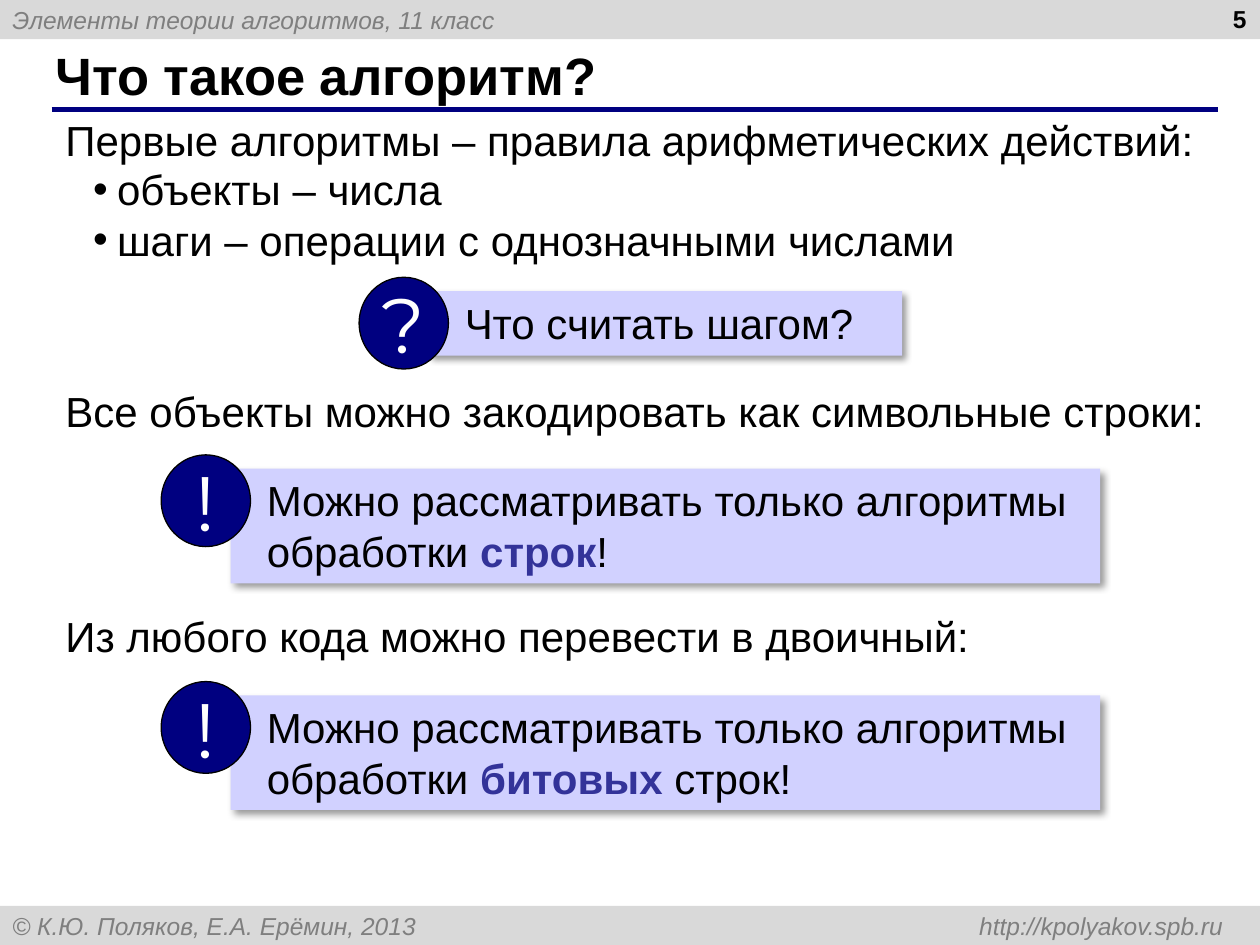
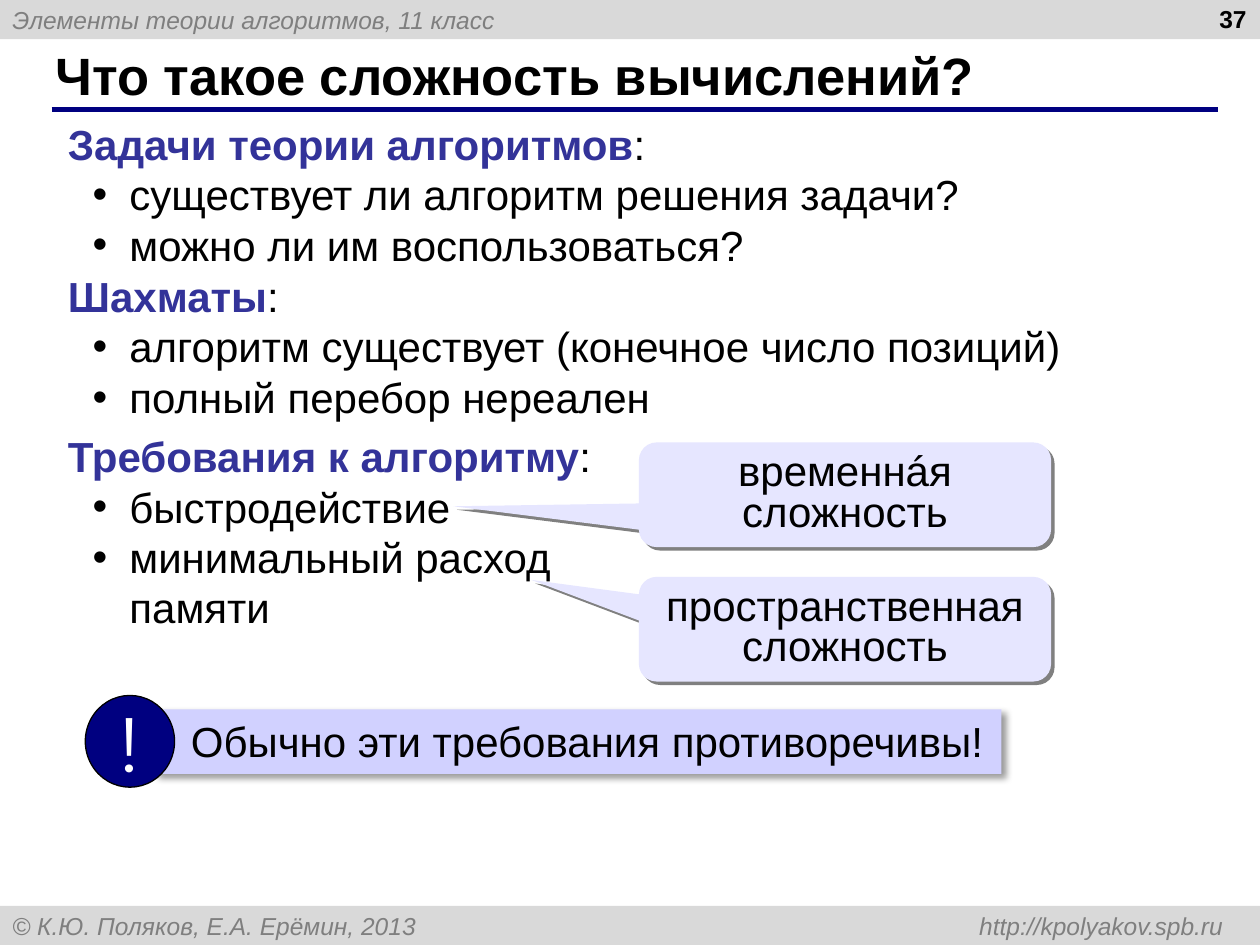
from lxml import etree
from pptx import Presentation
from pptx.dml.color import RGBColor
from pptx.enum.shapes import MSO_CONNECTOR, MSO_SHAPE
from pptx.enum.text import MSO_ANCHOR, MSO_AUTO_SIZE, PP_ALIGN
from pptx.oxml.ns import qn
from pptx.util import Cm, Pt

RECTANGLE = MSO_SHAPE.RECTANGLE
OVAL = MSO_SHAPE.OVAL
CALLOUT = MSO_SHAPE.ROUNDED_RECTANGULAR_CALLOUT
STRAIGHT = MSO_CONNECTOR.STRAIGHT
LEFT, CENTER, RIGHT = PP_ALIGN.LEFT, PP_ALIGN.CENTER, PP_ALIGN.RIGHT
MIDDLE = MSO_ANCHOR.MIDDLE
NO_AUTOFIT = MSO_AUTO_SIZE.NONE

BLACK, WHITE, NAVY, ACCENT = "000000", "FFFFFF", "000080", "333399"
BAND, BAND_TEXT = "D9D9D9", "7F7F7F"
BANNER, BUBBLE, BUBBLE_SHADOW = "D1D1FF", "E6E6FF", "808080"
TEXT_FONT, SIGN_FONT = "Arial", "Montserrat"
BODY_SIZE = 24
PAGE_WIDTH, PAGE_HEIGHT, BAND_HEIGHT = 25.4, 19.05, 0.79
TITLE_ONLY = 5


def color(code):
    return RGBColor.from_string(code)


# Text
def add_span(para, text, size=BODY_SIZE, tint=BLACK, bold=False, italic=False,
             font=TEXT_FONT):
    span = para.add_run()
    span.text = text
    span.font.name = font
    span.font.size = Pt(size)
    span.font.bold = bold
    span.font.italic = italic
    span.font.color.rgb = color(tint)


def add_spans(para, spans):
    """Plain strings are body text; one-item tuples are emphasised."""
    for item in spans:
        if isinstance(item, tuple):
            add_span(para, item[0], tint=ACCENT, bold=True)
        else:
            add_span(para, item)


def set_indent(para, margin, hanging=0):
    properties = para._p.get_or_add_pPr()
    properties.set("marL", str(Cm(margin)))
    properties.set("indent", str(-Cm(hanging)))
    return properties


def add_bullet(para, margin, hanging):
    properties = set_indent(para, margin, hanging)
    etree.SubElement(properties, qn("a:buFont"), typeface=TEXT_FONT)
    etree.SubElement(properties, qn("a:buChar"), char="•")


def add_right_tab(para, position):
    tabs = etree.SubElement(para._p.get_or_add_pPr(), qn("a:tabLst"))
    etree.SubElement(tabs, qn("a:tab"), pos=str(Cm(position)), algn="r")


def add_text_box(page, left, top, width, height):
    box = page.shapes.add_textbox(Cm(left), Cm(top), Cm(width), Cm(height))
    box.text_frame.word_wrap = True
    return box.text_frame


def add_statement(page, top, text):
    frame = add_text_box(page, 1.07, top, 23.52, 1.3)
    add_span(frame.paragraphs[0], text)


def add_list(page, place, items, margin, hanging, heading=None):
    """A bulleted list; a line feed in an item breaks its line."""
    frame = add_text_box(page, *place)
    para = frame.paragraphs[0]
    if heading:
        add_spans(para, [(heading,), ":"])
    for number, item in enumerate(items):
        if heading or number:
            para = frame.add_paragraph()
        add_bullet(para, margin, hanging)
        for line_number, line in enumerate(item.split("\n")):
            if line_number:
                para.add_line_break()
            add_span(para, line)


# Shapes
def add_filled(shapes, kind, left, top, width, height, fill, outline=None):
    shape = shapes.add_shape(kind, Cm(left), Cm(top), Cm(width), Cm(height))
    shape.fill.solid()
    shape.fill.fore_color.rgb = color(fill)
    if outline:
        shape.line.color.rgb = color(outline)
        shape.line.width = Pt(0.75)
    else:
        shape.line.fill.background()
    shape.shadow.inherit = False
    shape.text_frame.paragraphs[0].alignment = LEFT
    return shape


def add_shadow(shape, tint, percent, blur, distance):
    effects = shape._element.spPr.find(qn("a:effectLst"))
    shadow = etree.SubElement(
        effects, qn("a:outerShdw"), blurRad=str(Pt(blur)),
        dist=str(Pt(distance)), dir=str(45 * 60000), algn="tl",
        rotWithShape="0")
    tone = etree.SubElement(shadow, qn("a:srgbClr"), val=tint)
    etree.SubElement(tone, qn("a:alpha"), val=str(percent * 1000))


def add_banner(page, left, top, width, height, sign, spans):
    """A shaded message with a round sign over its top left corner."""
    shapes = page.shapes.add_group_shape().shapes
    banner = add_filled(shapes, RECTANGLE, left, top, width, height, BANNER)
    add_shadow(banner, BLACK, 40, 4, 3)
    frame = banner.text_frame
    frame.word_wrap = True
    frame.vertical_anchor = MSO_ANCHOR.TOP
    set_indent(frame.paragraphs[0], 0.48)
    add_spans(frame.paragraphs[0], spans)

    badge = add_filled(shapes, OVAL, left - 1.4, top - 0.28, 1.8, 1.85,
                       NAVY, BLACK)
    frame = badge.text_frame
    frame.word_wrap = False
    frame.vertical_anchor = MIDDLE
    frame.paragraphs[0].alignment = CENTER
    add_span(frame.paragraphs[0], sign, 44, WHITE, font=SIGN_FONT)


def add_bubble(page, top, text, tip):
    bubble = add_filled(page.shapes, CALLOUT, 12.88, top, 8.31, 2.11, BUBBLE)
    add_shadow(bubble, BUBBLE_SHADOW, 100, 0, 2.8)
    for index, value in enumerate((*tip, 0.17)):
        bubble.adjustments[index] = value
    frame = bubble.text_frame
    frame.word_wrap = True
    frame.vertical_anchor = MIDDLE
    para = frame.paragraphs[0]
    para.alignment = CENTER
    para.line_spacing = 0.8
    para.space_after = Pt(10)
    add_span(para, text)


# Shared frame of every page
def add_band(page, top, text):
    band = add_filled(page.shapes, RECTANGLE, 0, top, PAGE_WIDTH, BAND_HEIGHT,
                      BAND)
    band.text_frame.vertical_anchor = MIDDLE
    para = band.text_frame.paragraphs[0]
    add_right_tab(para, 24.41)
    add_span(para, text, 14, BAND_TEXT, italic=True)


def add_page(deck, title_text, number):
    page = deck.slides.add_slide(deck.slide_layouts[TITLE_ONLY])
    add_band(page, 0, "Элементы теории алгоритмов, 11 класс")
    add_band(page, PAGE_HEIGHT - BAND_HEIGHT,
             "© К.Ю. Поляков, Е.А. Ерёмин, 2013 \thttp://kpolyakov.spb.ru")

    rule = page.shapes.add_connector(STRAIGHT, Cm(1.04), Cm(2.21),
                                     Cm(24.56), Cm(2.21))
    rule.line.color.rgb = color(NAVY)
    rule.line.width = Pt(3)
    etree.SubElement(rule._element.spPr, qn("a:effectLst"))

    title = page.shapes.title
    title.left, title.top = Cm(0.86), Cm(0.84)
    title.width, title.height = Cm(23.27), Cm(1.32)
    frame = title.text_frame
    frame.auto_size = NO_AUTOFIT
    frame.vertical_anchor = MIDDLE
    frame.paragraphs[0].alignment = LEFT
    add_span(frame.paragraphs[0], title_text, 30, bold=True)

    para = add_text_box(page, 19.46, -0.05, 5.92, 1.32).paragraphs[0]
    para.alignment = RIGHT
    add_span(para, str(number), 14, bold=True)
    return page


def build_algorithm_page(deck):
    page = add_page(deck, "Что такое алгоритм?", 5)
    add_statement(page, 2.18,
                  "Первые алгоритмы – правила арифметических действий:")
    add_list(page, (1.63, 3.18, 19.46, 2.31),
             ["объекты – числа", "шаги – операции с однозначными числами"],
             0.48, 0.48)
    add_banner(page, 8.64, 5.87, 9.55, 1.3, "?", ["Что считать шагом?"])
    add_statement(page, 7.65,
                  "Все объекты можно закодировать как символьные строки:")
    add_statement(page, 12.19, "Из любого кода можно перевести в двоичный:")
    opening = "Можно рассматривать только алгоритмы обработки "
    for top, ending in ((9.45, [("строк",), "!"]),
                        (14.02, [("битовых",), " строк!"])):
        add_banner(page, 4.65, top, 17.53, 2.31, "!", [opening, *ending])


def build_complexity_page(deck):
    page = add_page(deck, "Что такое сложность вычислений?", 37)
    sections = (
        (2.26, 23.34, 3.33, "Задачи теории алгоритмов",
         ["существует ли алгоритм решения задачи?",
          "можно ли им воспользоваться?"]),
        (5.33, 23.34, 3.33, "Шахматы",
         ["алгоритм существует (конечное число позиций)",
          "полный перебор нереален"]),
        (8.56, 11.46, 4.37, "Требования к алгоритму",
         ["быстродействие", "минимальный расход\nпамяти"]),
    )
    for top, width, height, heading, items in sections:
        add_list(page, (1.12, top, width, height), items, 1.24, 0.74, heading)
    add_bubble(page, 8.92, "временнáя сложность", (-0.95, 0.11))
    add_bubble(page, 11.63, "пространственная сложность", (-0.76, -0.47))
    add_banner(page, 3.12, 14.3, 17.07, 1.3, "!",
               ["Обычно эти требования противоречивы!"])


def main():
    deck = Presentation()
    deck.slide_width, deck.slide_height = Cm(PAGE_WIDTH), Cm(PAGE_HEIGHT)
    build_algorithm_page(deck)
    build_complexity_page(deck)
    deck.save("out.pptx")


if __name__ == "__main__":
    main()
